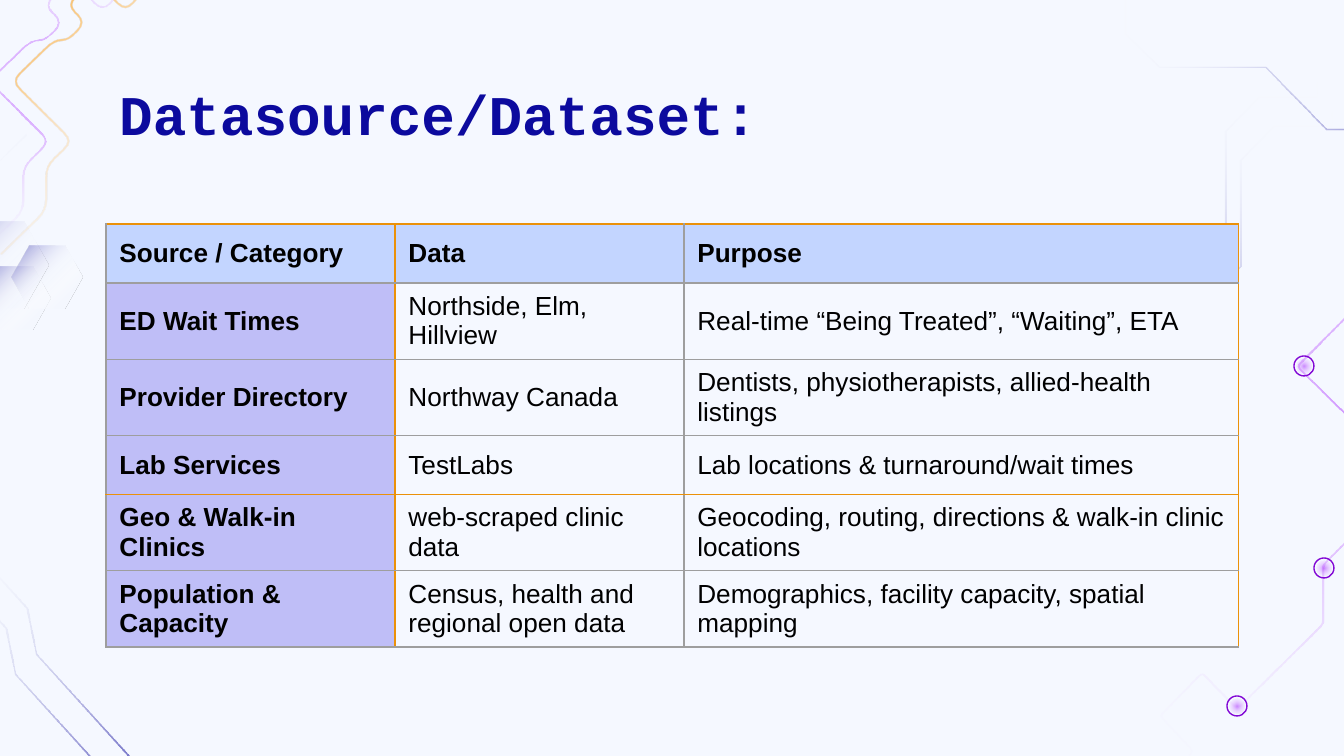
from math import hypot
from lxml import etree
from pptx import Presentation
from pptx import util as u
from pptx.dml.color import RGBColor
from pptx.enum import shapes, text
from pptx.oxml.ns import qn

WIDTH, HEIGHT = 1344, 756
SCALE = u.Inches(10) / WIDTH
COLORS = {
    "paper": "F5F8FF", "navy": "0C0A9E", "white": "FFFFFF", "violet": "9900FF",
    "ring": "8208D5", "amber": "EB9109", "orange": "FF9900", "grey": "9E9E9E",
    "header": "C3D5FF", "category": "BFBEF7", "ink": "000000",
}

TITLE = "Datasource/Dataset:"
ROWS = [
    ("Source / Category", "Data", "Purpose"),
    ("ED Wait Times", "Northside, Elm, Hillview", "Real-time “Being Treated”, “Waiting”, ETA"),
    ("Provider Directory", "Northway Canada", "Dentists, physiotherapists, allied-health listings"),
    ("Lab Services", "TestLabs", "Lab locations & turnaround/wait times"),
    ("Geo & Walk-in Clinics", "web-scraped clinic data",
     "Geocoding, routing, directions & walk-in clinic locations"),
    ("Population & Capacity", "Census, health and regional open data",
     "Demographics, facility capacity, spatial mapping"),
]
COLUMN_WIDTHS = [289, 289, 555]
ROW_HEIGHTS = [59, 60, 59, 59, 60, 60]
COLUMN_LINES = ["grey", "amber", "grey", "amber"]
ROW_LINES = ["amber", "grey", "grey", "grey", "amber", "grey", "grey"]

FADES = {
    "navy": ([(0, "navy", 100), (100, "white", 0)], 90),
    "hook": ([(0, "navy", 37), (100, "white", 0)], 225),
    "glow": ([(0, "violet", 47), (100, "white", 0)], None),
    "amber": ([(0, "amber", 100), (40, "orange", 41), (100, "white", 0)], 45),
    "hexagon": ([(0, "paper", 100), (22, "paper", 100), (45, "white", 0), (100, "navy", 50)], 45),
}
TRACE = [(207, 0), (153, 54), (153, 197), (91, 258), (91, 364), (58, 398), (0, 398), (0, 415)]
CIRCUIT = [(1623, 41), (1538, 125), (1585, 171), (1438, 319), (1391, 271), (1297, 366),
           (1410, 477), (1323, 564), (1323, 623), (1237, 708), (1202, 672), (1160, 715),
           (1193, 750), (1178, 768), (1195, 785), (1188, 794), (1183, 785)]
BRANCH = [(57, 0), (24, 56), (24, 220), (0, 260), (0, 333)]
WAVE = [(77, -84), (146, -13), (125, 11), (93, -21), (67, 5), (85, 22), (68, 40), (54, 40),
        (12, 81), (72, 141), (46, 166), (46, 210), (1, 254)]
HOOK = [(0, 41), (40, 2), (40, 78), (70, 78), (70, 148)]
HEXAGON = [(0.25, 0), (0.75, 0), (1, 0.5), (0.75, 1), (0.25, 1), (0, 0.5)]

RIBBONS = [
    (TRACE, (1228, 317), 180, "navy", 0),
    (TRACE, (1213, 288), 180, "navy", 0),
    (TRACE, (1316, 79), 90, "navy", 0),
    (CIRCUIT, (1392, 417), 0, "glow", 4),
    (BRANCH, (69, 697), 137.8, "navy", 0),
    (BRANCH, (48, 717), 137.8, "navy", 0),
    (WAVE, (72, 85), 0, "amber", 11),
    (WAVE, (49, 85), 0, "glow", 11),
    (HOOK, (-9, 100), 180, "hook", 0),
]
HEXAGONS = [((-1, 265), (99, 86)), ((15, 298), (71, 62)), ((47, 277), (71, 62))]
NODES = [(1237, 706), (1324, 568), (1304, 366)]


def px(value):
    return u.Emu(round(value * SCALE))


def rgb(name):
    return RGBColor.from_string(COLORS[name])


def toward(start, end, distance):
    share = distance / hypot(end[0] - start[0], end[1] - start[1])
    share = min(share, 0.5)
    return tuple(a + (b - a) * share for a, b in zip(start, end))


def rounded(points, radius):
    if not radius:
        return points
    curve = [points[0]]
    for before, corner, after in zip(points, points[1:], points[2:]):
        enter, leave = toward(corner, before, radius), toward(corner, after, radius)
        for t in (0, 0.25, 0.5, 0.75, 1):
            curve.append(tuple((1 - t) ** 2 * a + 2 * t * (1 - t) * b + t * t * c
                               for a, b, c in zip(enter, corner, leave)))
    return curve + [points[-1]]


def ribbon(points, width=2):
    left, right = [], []
    for i, (x, y) in enumerate(points):
        (x0, y0), (x1, y1) = points[max(i - 1, 0)], points[min(i + 1, len(points) - 1)]
        length = hypot(x1 - x0, y1 - y0) or 1
        dx, dy = (y0 - y1) / length * width / 2, (x1 - x0) / length * width / 2
        left.append((x + dx, y + dy))
        right.append((x - dx, y - dy))
    return left + right[::-1]


def fade(shape, name):
    stops, angle = FADES[name]
    shape.fill.background()
    gradient = etree.Element(qn("a:gradFill"), rotWithShape="1")
    stop_list = etree.SubElement(gradient, qn("a:gsLst"))
    for position, color, opacity in stops:
        stop = etree.SubElement(stop_list, qn("a:gs"), pos=str(position * 1000))
        tint = etree.SubElement(stop, qn("a:srgbClr"), val=COLORS[color])
        etree.SubElement(tint, qn("a:alpha"), val=str(opacity * 1000))
    if angle is None:
        circle = etree.SubElement(gradient, qn("a:path"), path="circle")
        etree.SubElement(circle, qn("a:fillToRect"), {side: "50000" for side in "ltrb"})
    else:
        etree.SubElement(gradient, qn("a:lin"), ang=str(angle * 60000), scaled="0")
    properties = shape._element.spPr
    properties.replace(properties.find(qn("a:noFill")), gradient)
    shape.line.fill.background()
    shape.shadow.inherit = False


def add_outline(slide, points, center, rotation, fade_name):
    corners = [(px(x), px(y)) for x, y in points]
    builder = slide.shapes.build_freeform(*corners[0])
    builder.add_line_segments(corners[1:], close=True)
    outline = builder.convert_to_shape()
    outline.left = px(center[0]) - outline.width // 2
    outline.top = px(center[1]) - outline.height // 2
    outline.rotation = rotation
    fade(outline, fade_name)


def add_disc(slide, center, size):
    x, y = center
    disc = slide.shapes.add_shape(shapes.MSO_SHAPE.OVAL, px(x - size / 2), px(y - size / 2),
                                  px(size), px(size))
    disc.shadow.inherit = False
    return disc


def add_run(paragraph, words, font, size, color, bold):
    run = paragraph.add_run()
    run.text = words
    run.font.name, run.font.size, run.font.bold = font, u.Pt(size), bold
    run.font.color.rgb = rgb(color)


def add_borders(cell, row, column):
    sides = {"a:lnL": COLUMN_LINES[column], "a:lnR": COLUMN_LINES[column + 1],
             "a:lnT": ROW_LINES[row], "a:lnB": ROW_LINES[row + 1]}
    properties = cell._tc.get_or_add_tcPr()
    for i, (side, color) in enumerate(sides.items()):
        border = etree.Element(qn(side), w=str(u.Pt(0.75)))
        solid = etree.SubElement(border, qn("a:solidFill"))
        etree.SubElement(solid, qn("a:srgbClr"), val=COLORS[color])
        properties.insert(i, border)


def add_sources(slide):
    sources = slide.shapes.add_table(len(ROWS), len(COLUMN_WIDTHS), px(106), px(224),
                                     px(sum(COLUMN_WIDTHS)), px(sum(ROW_HEIGHTS))).table
    sources.first_row = sources.horz_banding = False
    for column, width in zip(sources.columns, COLUMN_WIDTHS):
        column.width = px(width)
    for r, words in enumerate(ROWS):
        sources.rows[r].height = px(ROW_HEIGHTS[r])
        for c, word in enumerate(words):
            cell = sources.cell(r, c)
            cell.vertical_anchor = text.MSO_ANCHOR.MIDDLE
            cell.fill.solid()
            cell.fill.fore_color.rgb = rgb("header" if r == 0 else "category" if c == 0 else "paper")
            add_run(cell.text_frame.paragraphs[0], word, "Arial", 14, "ink", r == 0 or c == 0)
            add_borders(cell, r, c)


def main():
    deck = Presentation()
    deck.slide_width, deck.slide_height = px(WIDTH), px(HEIGHT)
    slide = deck.slides.add_slide(deck.slide_layouts[6])
    slide.background.fill.solid()
    slide.background.fill.fore_color.rgb = rgb("paper")

    for points, center, rotation, fade_name, radius in RIBBONS:
        add_outline(slide, ribbon(rounded(points, radius)), center, rotation, fade_name)
    for center, (width, height) in HEXAGONS:
        add_outline(slide, [(x * width, y * height) for x, y in HEXAGON], center, 180, "hexagon")
    for center in NODES:
        ring = add_disc(slide, center, 20)
        ring.fill.background()
        ring.line.color.rgb, ring.line.width = rgb("ring"), u.Pt(0.75)
        fade(add_disc(slide, center, 15), "glow")

    heading = slide.shapes.add_textbox(px(106), px(66), px(1133), px(85)).text_frame
    heading.word_wrap = True
    heading.margin_left = heading.margin_right = u.Inches(0.1)
    heading.margin_top = heading.margin_bottom = u.Inches(0.1)
    add_run(heading.paragraphs[0], TITLE, "Courier New", 30, "navy", True)
    add_sources(slide)
    deck.save("out.pptx")


if __name__ == "__main__":
    main()
